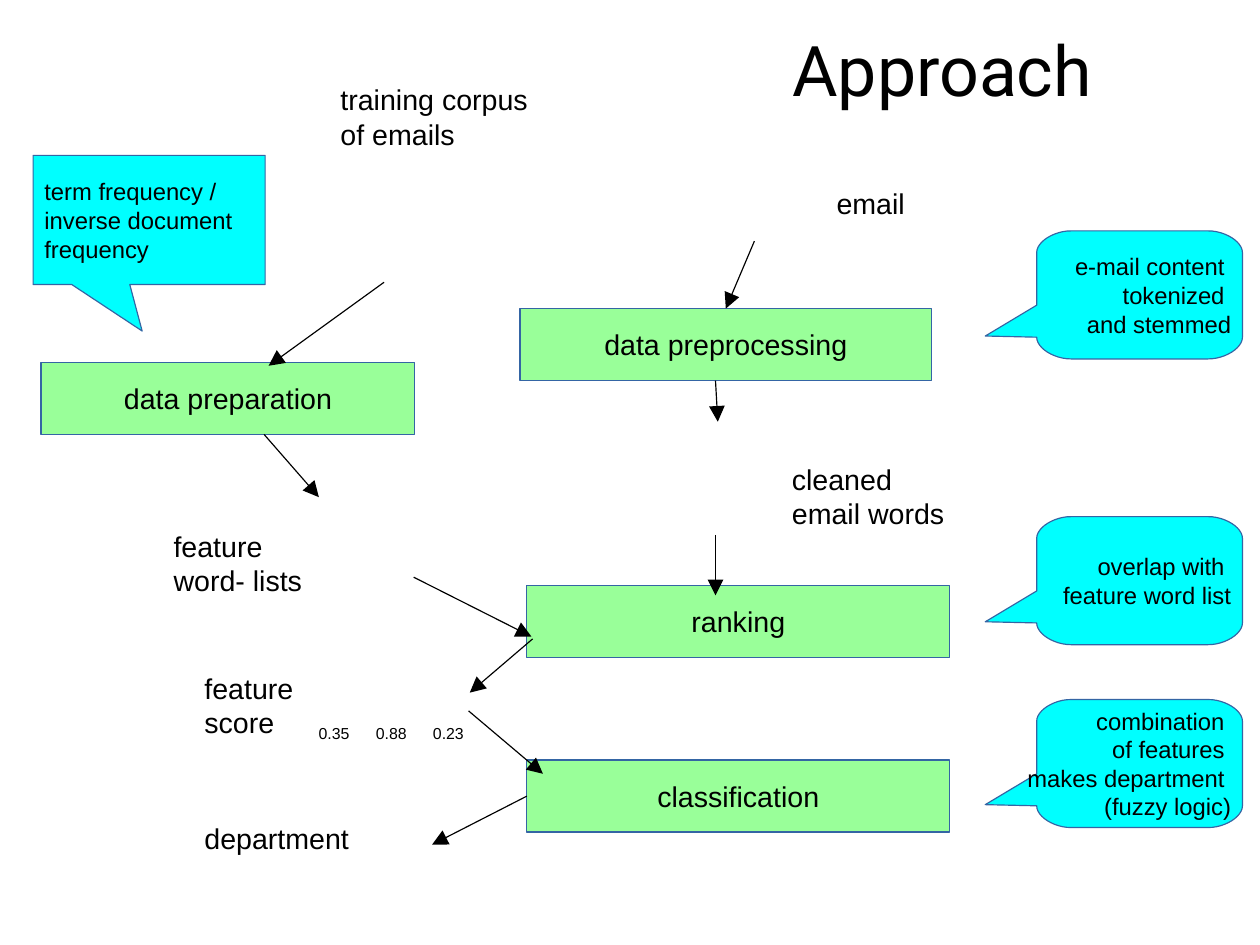
from pptx import Presentation
from pptx.dml.color import RGBColor
from pptx.enum.shapes import MSO_CONNECTOR, MSO_SHAPE
from pptx.enum.text import MSO_ANCHOR, PP_ALIGN
from pptx.oxml.ns import qn
from pptx.util import Inches, Pt
from lxml.etree import SubElement

BLACK = RGBColor(0x00, 0x00, 0x00)
GREEN = RGBColor(0x99, 0xFF, 0x99)
CYAN = RGBColor(0x00, 0xFF, 0xFF)
BLUE = RGBColor(0x34, 0x65, 0xA4)

CM_PER_INCH = 2.54
SLIDE_WIDTH, SLIDE_HEIGHT = 28 / CM_PER_INCH, 21 / CM_PER_INCH
TITLE = ("Approach", 3.93, -0.09, 7.29, 1.38)
STEP_HEIGHT = 0.63
STEPS = [
    ("data preprocessing", 4.55, 2.7, 3.6),
    ("ranking", 4.61, 5.12, 3.7),
    ("classification", 4.61, 6.65, 3.7),
    ("data preparation", 0.36, 3.17, 3.27),
]
LABELS = [
    ("training corpus of emails", 2.88, 0.67, 1.95, 0.39),
    ("email", 7.22, 1.58, 1.95, 0.39),
    ("cleaned email words", 6.83, 3.99, 1.6, 0.39),
    ("feature word- lists", 1.42, 4.58, 1.46, 0.39),
    ("feature score", 1.69, 5.82, 1.26, 0.69),
    ("department", 1.69, 7.13, 1.53, 0.69),
]
SCORES = ["0.35", "0.88", "0.23"]
SCORE_LEFT, SCORE_TOP, SCORE_STEP = 2.69, 6.25, 0.5
ARROWS = [
    (6.6, 2.11, 6.34, 2.7, None, ("data preprocessing", 0)),
    (3.62, 5.05, 4.65, 5.57, None, None),
    (4.1, 6.22, 4.75, 6.77, None, None),
    (4.66, 5.59, 4.11, 6.06, None, None),
    (4.61, 6.97, 3.78, 7.39, ("classification", 1), None),
    (3.36, 2.47, 2.35, 3.2, None, None),
    (2.31, 3.8, 2.79, 4.35, None, None),
    (6.26, 4.68, 6.26, 5.21, None, None),
    (6.26, 3.33, 6.28, 3.69, None, None),
]
BUBBLES = [
    ("e-mail content \ntokenized \nand stemmed", 2.02),
    ("overlap with \nfeature word list", 4.52),
    ("combination \nof features \nmakes department \n(fuzzy logic)", 6.12),
]
BUBBLE_LEFT, BUBBLE_RIGHT, BUBBLE_HEIGHT = 9.07, 10.87, 1.12
CORNER_W, CORNER_H, CORNER_STEPS = 0.3, 0.19, 12
TAIL_X, TAIL_START, TAIL_TIP = 8.62, 0.65, 0.92
NOTE = ("term frequency / inverse document frequency", 0.29, 1.36, 2.03, 1.13)


def write(s, text, size, align=PP_ALIGN.LEFT, anchor=MSO_ANCHOR.TOP,
          font="Arial", inset_y=0.05):
    tf = s.text_frame
    tf.word_wrap = True
    tf.vertical_anchor = anchor
    tf.margin_left = tf.margin_right = Inches(0.1)
    tf.margin_top = tf.margin_bottom = Inches(inset_y)
    tf.text = text
    for p in tf.paragraphs:
        p.alignment = align
        for r in p.runs:
            r.font.name = font
            r.font.size = Pt(size)
            r.font.color.rgb = BLACK
    return tf


def paint(s, color):
    s.shadow.inherit = False
    s.fill.solid()
    s.fill.fore_color.rgb = color
    s.line.color.rgb = BLUE
    s.line.width = Pt(0.75)


def add_text(shapes, text, left, top, width, height, size, **style):
    s = shapes.add_textbox(Inches(left), Inches(top), Inches(width), Inches(height))
    return write(s, text, size, **style)


def add_box(shapes, preset, color, left, top, width, height):
    s = shapes.add_shape(preset, Inches(left), Inches(top), Inches(width), Inches(height))
    paint(s, color)
    return s


def corner(x, y, dx, dy, vertical_end):
    points = []
    for i in range(CORNER_STEPS + 1):
        t = i / CORNER_STEPS
        leaving = (1 - t) ** 2 * (1 + t / 2)
        arriving = t ** 2 * (1.5 - t / 2)
        across, down = (leaving, arriving) if vertical_end else (arriving, leaving)
        points.append((x + dx * CORNER_W * across, y + dy * CORNER_H * down))
    return points


def add_bubble(shapes, text, top):
    bottom = top + BUBBLE_HEIGHT
    outline = (
        corner(BUBBLE_LEFT, top, 1, 1, True)
        + [(BUBBLE_LEFT, top + TAIL_START), (TAIL_X, top + TAIL_TIP)]
        + corner(BUBBLE_LEFT, bottom, 1, -1, False)
        + corner(BUBBLE_RIGHT, bottom, -1, -1, True)
        + corner(BUBBLE_RIGHT, top, -1, 1, False)
    )
    points = [(Inches(x), Inches(y)) for x, y in outline]
    builder = shapes.build_freeform(*points[0])
    builder.add_line_segments(points[1:], close=True)
    s = builder.convert_to_shape()
    paint(s, CYAN)
    write(s, text, 15, PP_ALIGN.RIGHT, MSO_ANCHOR.MIDDLE)


def add_arrow(shapes, steps, x1, y1, x2, y2, begin, end):
    c = shapes.add_connector(MSO_CONNECTOR.STRAIGHT, Inches(x1), Inches(y1),
                             Inches(x2), Inches(y2))
    if begin:
        c.begin_connect(steps[begin[0]], begin[1])
    if end:
        c.end_connect(steps[end[0]], end[1])
    c.line.color.rgb = BLACK
    c.line.width = Pt(0.75)
    ln = c._element.spPr.find(qn("a:ln"))
    SubElement(ln, qn("a:tailEnd"), type="triangle", w="lg", len="lg")
    SubElement(c._element.spPr, qn("a:effectLst"))


def main():
    prs = Presentation()
    prs.slide_width, prs.slide_height = Inches(SLIDE_WIDTH), Inches(SLIDE_HEIGHT)
    shapes = prs.slides.add_slide(prs.slide_layouts[6]).shapes

    tf = add_text(shapes, *TITLE, 44, align=PP_ALIGN.CENTER,
                  anchor=MSO_ANCHOR.MIDDLE, font="Roboto", inset_y=0)
    tf.margin_left, tf.margin_right = Inches(1.34), 0

    steps = {}
    for text, left, top, width in STEPS:
        s = add_box(shapes, MSO_SHAPE.RECTANGLE, GREEN, left, top, width, STEP_HEIGHT)
        write(s, text, 18, PP_ALIGN.CENTER, MSO_ANCHOR.MIDDLE)
        steps[text] = s
    for label in LABELS:
        add_text(shapes, *label, 18)
    for i, score in enumerate(SCORES):
        add_text(shapes, score, SCORE_LEFT + i * SCORE_STEP, SCORE_TOP,
                 0.47, 0.32, 10, inset_y=0.1)
    for arrow in ARROWS:
        add_arrow(shapes, steps, *arrow)
    for text, top in BUBBLES:
        add_bubble(shapes, text, top)

    text, *place = NOTE
    s = add_box(shapes, MSO_SHAPE.RECTANGULAR_CALLOUT, CYAN, *place)
    s.adjustments[0], s.adjustments[1] = -0.03, 0.86
    write(s, text, 15, anchor=MSO_ANCHOR.MIDDLE, inset_y=0.1)

    prs.save("out.pptx")


if __name__ == "__main__":
    main()
